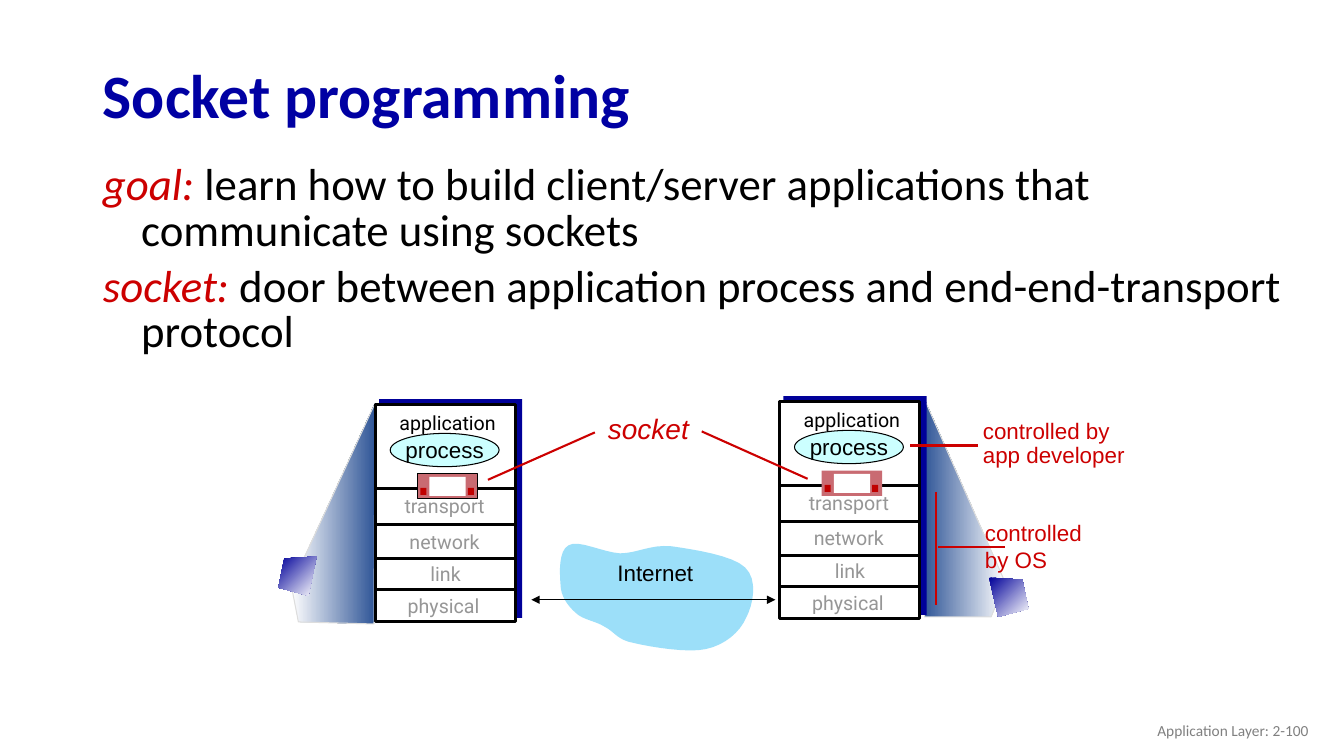
import pptx
import pptx.dml.color
import pptx.enum.shapes
import pptx.enum.text
import pptx.oxml.ns
import pptx.util
import lxml.etree

Inches = pptx.util.Inches
Pt = pptx.util.Pt
Align = pptx.enum.text.PP_ALIGN
Anchor = pptx.enum.text.MSO_ANCHOR
Fit = pptx.enum.text.MSO_AUTO_SIZE
Kind = pptx.enum.shapes.MSO_SHAPE

RED, NAVY, BLACK, WHITE, GREY = "CC0000", "000099", "000000", "FFFFFF", "969696"
ROBOTO = {"name": "Roboto", "size": Pt(14)}
ARIAL = {"name": "Arial", "size": Pt(16)}
BODY = {"name": "Calibri", "size": Pt(32)}
STEPS = 8

GOALS = [
    ("goal:", " learn how to build client/server applications that communicate using sockets"),
    ("socket:", " door between application process and end-end-transport protocol"),
]
LAYERS = [("transport", 3.69, 4.83), ("network", 3.69, 5.18),
          ("link", 3.7, 5.5), ("physical", 3.68, 5.82)]
RULES = [4.85, 5.2, 5.54, 5.85]
HOSTS = [(0, 0, BLACK), (4.01, -0.03, None)]
CLOUD_START = (5.56, 5.8)
CLOUD = [
    (5.55, 5.68, 5.54, 5.46, 5.64, 5.41), (5.73, 5.35, 5.98, 5.48, 6.15, 5.49),
    (6.32, 5.49, 6.45, 5.4, 6.66, 5.42), (6.87, 5.45, 7.27, 5.51, 7.39, 5.63),
    (7.52, 5.75, 7.47, 6, 7.4, 6.13), (7.34, 6.27, 7.19, 6.4, 7, 6.44),
    (6.82, 6.48, 6.46, 6.42, 6.29, 6.38), (6.12, 6.35, 6.1, 6.27, 6, 6.22),
    (5.91, 6.16, 5.78, 6.15, 5.71, 6.08), (5.63, 6.01, 5.56, 5.91, 5.56, 5.8),
]
WEDGES = [
    ([(9.97, 5.78), (9.16, 3.94), (9.17, 6.12), (9.83, 6.12)], 180),
    ([(2.89, 5.81), (3.72, 4), (3.71, 6.19), (2.96, 6.17)], 0),
]
TILES = [
    [(3.14, 5.52), (2.82, 5.54), (2.76, 5.83), (3.06, 5.91)],
    [(9.81, 5.73), (10.14, 5.75), (10.2, 6.04), (9.9, 6.12)],
]
POINTERS = [
    (9.7, 4.42, 9.03, 4.42), (9.28, 4.88, 9.28, 6), (9.97, 5.43, 9.3, 5.43),
    (4.84, 4.76, 5.9, 4.29), (8.01, 4.75, 6.96, 4.28),
]


def paint(target, code):
    target.rgb = pptx.dml.color.RGBColor.from_string(code)


def apply(target, values):
    for key, value in values.items():
        setattr(target, key, value)


def place(shape, left, top, width, height):
    apply(shape, {"left": Inches(left), "top": Inches(top),
                  "width": Inches(width), "height": Inches(height)})


def write(par, text, font, code):
    run = par.add_run()
    run.text = text
    apply(run.font, font)
    paint(run.font.color, code)


def outline(shape, code, width):
    if code:
        paint(shape.line.color, code)
        shape.line.width = Pt(width)
    else:
        shape.line.fill.background()


def box(slide, kind, area, fill, edge=None, width=0.75):
    shape = slide.shapes.add_shape(kind, *map(Inches, area))
    shape.shadow.inherit = False
    shape.fill.solid()
    paint(shape.fill.fore_color, fill)
    outline(shape, edge, width)
    return shape


def label(slide, area, lines, font, code, frame={}, format={}):
    text = slide.shapes.add_textbox(*map(Inches, area)).text_frame
    apply(text, {"word_wrap": True, "auto_size": Fit.NONE, **frame})
    for index, line in enumerate(lines):
        par = text.add_paragraph() if index else text.paragraphs[0]
        apply(par, format)
        write(par, line, font, code)


def line(slide, ends, code, width, arrows=False):
    link = slide.shapes.add_connector(
        pptx.enum.shapes.MSO_CONNECTOR.STRAIGHT, *map(Inches, ends))
    outline(link, code, width)
    props = link.element.spPr
    qn = pptx.oxml.ns.qn
    if arrows:
        for end in ("a:headEnd", "a:tailEnd"):
            lxml.etree.SubElement(props.find(qn("a:ln")), qn(end), type="triangle")
    lxml.etree.SubElement(props, qn("a:effectLst"))


def free(slide, points, edge=None):
    first, *rest = [(Inches(x), Inches(y)) for x, y in points]
    build = slide.shapes.build_freeform(*first)
    build.add_line_segments(rest, close=True)
    shape = build.convert_to_shape()
    shape.shadow.inherit = False
    outline(shape, edge, 0.75)
    return shape


def blend(shape, start, end, angle):
    shape.fill.gradient()
    shape.fill.gradient_angle = angle
    for stop, code, pos in zip(shape.fill.gradient_stops, (start, end), (0, 1)):
        paint(stop.color, code)
        stop.position = pos


def curve(start, parts):
    points = [start]
    for part in parts:
        knots = [points[-1], part[:2], part[2:4], part[4:]]
        for step in range(1, STEPS + 1):
            t = step / STEPS
            rates = ((1 - t) ** 3, 3 * t * (1 - t) ** 2, 3 * t * t * (1 - t), t ** 3)
            points.append(tuple(sum(r * k[axis] for r, k in zip(rates, knots))
                                for axis in (0, 1)))
    return points


def head(slide):
    title = slide.shapes.title
    place(title, 0.92, 0.49, 11.5, 0.98)
    apply(title.text_frame, {"vertical_anchor": Anchor.MIDDLE, "auto_size": Fit.NONE})
    par = title.text_frame.paragraphs[0]
    apply(par, {"alignment": Align.LEFT, "line_spacing": 0.9})
    write(par, "Socket programming",
          {"name": "Calibri", "size": Pt(44), "bold": True}, "0000A3")


def goals(slide):
    body = slide.placeholders[1]
    place(body, 0.92, 1.58, 12.17, 1.68)
    text = body.text_frame
    text.auto_size = Fit.NONE
    for index, (term, rest) in enumerate(GOALS):
        par = text.add_paragraph() if index else text.paragraphs[0]
        props = par._p.get_or_add_pPr()
        props.set("marL", str(Inches(0.38)))
        props.set("indent", str(Inches(-0.38)))
        lxml.etree.SubElement(props, pptx.oxml.ns.qn("a:buNone"))
        apply(par, {"line_spacing": 0.85, "space_before": Pt(7 * index)})
        write(par, term, {**BODY, "italic": True}, RED)
        write(par, rest, BODY, BLACK)


def host(slide, dx, dy, edge):
    def at(left, top, width, height):
        return left + dx, top + dy, width, height

    def layer(name, left, top, code):
        label(slide, at(left, top, 1.44, 0.36), [name], ROBOTO, code,
              format={"alignment": Align.CENTER, "line_spacing": 1.1})

    rect = Kind.RECTANGLE
    box(slide, rect, at(3.76, 3.96, 1.42, 2.17), NAVY)
    box(slide, rect, at(3.72, 4.01, 1.39, 2.16), WHITE, BLACK, 2.25)
    for y in RULES:
        line(slide, (3.73 + dx, y + dy, 5.12 + dx, y + dy), BLACK, 2.25)
    layer("application", 3.72, 4, BLACK)
    for name, left, top in LAYERS:
        layer(name, left, top, GREY)
    oval = box(slide, Kind.OVAL, at(3.87, 4.3, 1.08, 0.33), "CCFFFF", BLACK)
    apply(oval.text_frame, {"word_wrap": False, "vertical_anchor": Anchor.MIDDLE})
    par = oval.text_frame.paragraphs[0]
    par.alignment = Align.CENTER
    write(par, "process", ARIAL, BLACK)
    box(slide, rect, at(4.14, 4.7, 0.6, 0.25), "C96B72", edge)
    box(slide, rect, at(4.26, 4.73, 0.36, 0.19), WHITE)
    for left in (4.17, 4.64):
        box(slide, rect, at(left, 4.84, 0.06, 0.07), "C00000")


def main():
    deck = pptx.Presentation()
    apply(deck, {"slide_width": Inches(13.33), "slide_height": Inches(7.5)})
    slide = deck.slides.add_slide(deck.slide_layouts[1])
    head(slide)
    goals(slide)
    for points, angle in WEDGES:
        blend(free(slide, points, "DDDDDD"), WHITE, "2F5597", angle)
    cloud = free(slide, curve(CLOUD_START, CLOUD))
    cloud.fill.solid()
    paint(cloud.fill.fore_color, "9CDFF9")
    loose = {"word_wrap": False, "auto_size": Fit.SHAPE_TO_FIT_TEXT}
    label(slide, (6.02, 5.5, 0.96, 0.37), ["Internet"], ARIAL, BLACK, loose,
          {"alignment": Align.CENTER})
    line(slide, (5.27, 5.95, 7.69, 5.95), BLACK, 0.75, True)
    for dx, dy, edge in HOSTS:
        host(slide, dx, dy, edge)
    label(slide, (9.67, 5.1, 1.16, 0.9), ["controlled", "by OS"], ARIAL, RED, loose)
    label(slide, (9.65, 4.12, 1.61, 0.58), ["controlled by", "app developer"],
          ARIAL, RED, loose, {"line_spacing": 0.9})
    label(slide, (5.93, 4.07, 1.1, 0.4), ["socket"],
          {"name": "Arial", "size": Pt(20), "italic": True}, RED,
          format={"line_spacing": 0.9})
    for ends in POINTERS:
        line(slide, ends, RED, 1.5)
    for points in TILES:
        blend(free(slide, points), NAVY, WHITE, 315)
    label(slide, (10.08, 7.05, 3, 0.4), ["Application Layer: 2-100"],
          {"name": "Calibri", "size": Pt(11)}, "808080",
          {"vertical_anchor": Anchor.MIDDLE}, {"alignment": Align.RIGHT})
    deck.save("out.pptx")


if __name__ == "__main__":
    main()
